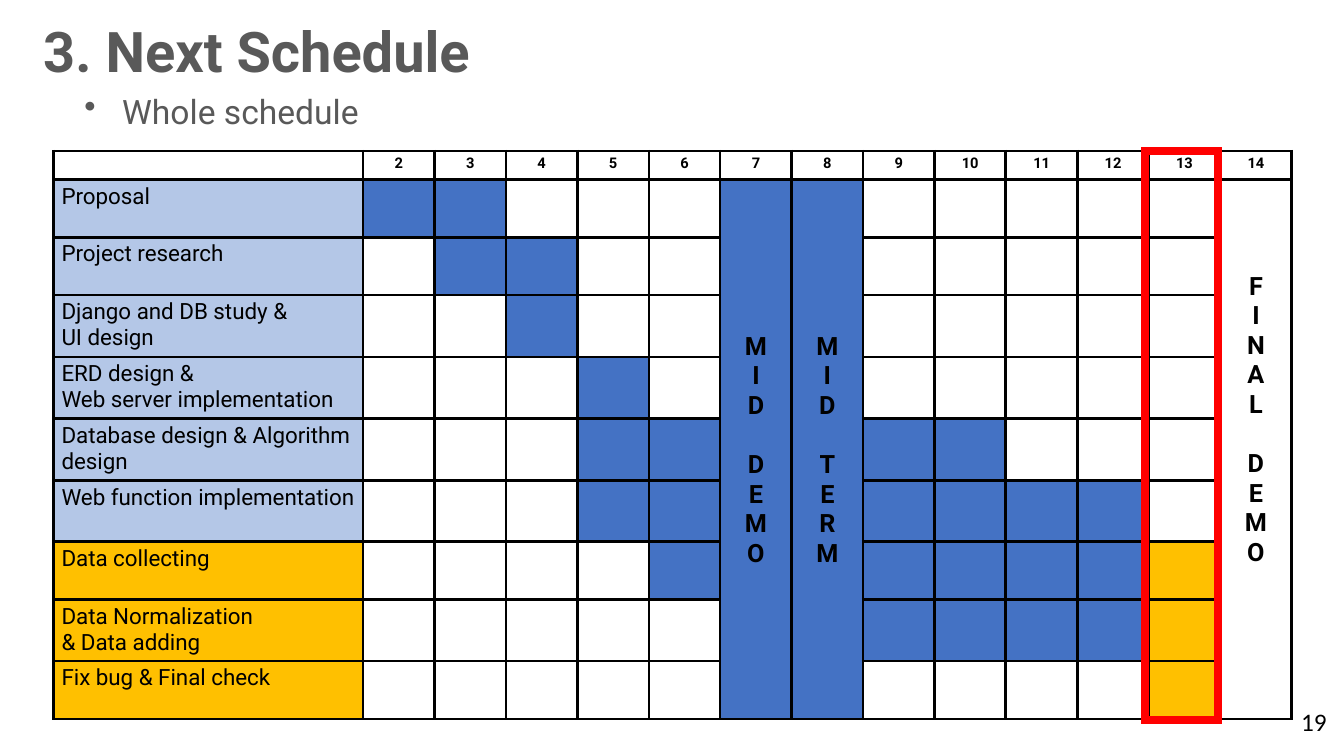
from dataclasses import dataclass

from lxml.etree import SubElement
from pptx import Presentation
from pptx.dml.color import RGBColor
from pptx.enum.shapes import MSO_SHAPE
from pptx.enum.text import MSO_ANCHOR, PP_ALIGN
from pptx.oxml.ns import qn
from pptx.slide import Slide
from pptx.table import Table, _Cell
from pptx.text.text import TextFrame, _Paragraph
from pptx.util import Cm, Pt

BLACK, WHITE, GREY, RED = "000000", "FFFFFF", "595959", "FF0000"
PALE, BLUE, GOLD = "B4C7E7", "4472C4", "FFC000"
WEEKS = range(2, 15)
HEAD, LOW, HIGH = 0.71, 1.46, 1.54
LEFT, TOP, LABEL, WEEK = 1.35, 3.81, 7.8, 1.8
THICK = (4, 10)  # weeks with a heavier line on their right


@dataclass
class Task:
    name: str
    fill: str
    high: float
    weeks: tuple[int, ...] = ()


@dataclass
class Event:
    week: int
    words: str
    fill: str
    inset: float = 0.15
    anchor: MSO_ANCHOR = MSO_ANCHOR.MIDDLE


@dataclass
class Label:
    text: str
    box: tuple[float, float, float, float]
    size: float
    color: str
    font: str = "Roboto"
    bold: bool = False
    wrap: bool = True


TASKS = [
    Task("Proposal", PALE, LOW, (2, 3)),
    Task("Project research", PALE, LOW, (3, 4)),
    Task("Django and DB study &\nUI design", PALE, HIGH, (4,)),
    Task("ERD design &\nWeb server implementation", PALE, HIGH, (5,)),
    Task("Database design & Algorithm design", PALE, HIGH, (5, 6, 9, 10)),
    Task("Web function implementation", PALE, HIGH, (5, 6, 9, 10, 11, 12)),
    Task("Data collecting", GOLD, LOW, (6, 9, 10, 11, 12, 13)),
    Task("Data Normalization\n& Data adding", GOLD, HIGH, (9, 10, 11, 12, 13)),
    Task("Fix bug & Final check", GOLD, LOW, (13,)),
]
EVENTS = [
    Event(7, "MID DEMO", BLUE),
    Event(8, "MID TERM", BLUE),
    Event(14, "FINAL DEMO", WHITE, 2.33, MSO_ANCHOR.TOP),
]
TITLE = Label("3. Next Schedule", (0.84, 0.3, 19.1, 1.96), 40, GREY, bold=True)
TOPIC = Label("Whole schedule", (1.88, 2.16, 31.9, 1.27), 24, GREY)
PAGE = Label("19", (32.54, 17.68, 1.17, 1.02), 18, BLACK, "Calibri", wrap=False)


def paint(code: str) -> RGBColor:
    return RGBColor.from_string(code)


def style(para: _Paragraph, size: float, color: str = BLACK,
          bold: bool = False, font: str = "Roboto") -> None:
    para.font.name = font
    para.font.size = Pt(size)
    para.font.bold = bold
    para.font.color.rgb = paint(color)


def write(frame: TextFrame, text: str, size: float, bold: bool = False,
          align: PP_ALIGN = PP_ALIGN.LEFT) -> None:
    frame.text = text
    for para in frame.paragraphs:
        para.alignment = align
        style(para, size, bold=bold)


def edge(cell: _Cell, week: int) -> None:
    props = cell._tc.get_or_add_tcPr()
    thick = {"L": week - 1 in THICK, "R": week in THICK}
    for spot, side in enumerate("LRTB"):
        width = Pt(2.55 if thick.get(side) else 1.98)
        line = SubElement(props, qn(f"a:ln{side}"), w=str(width))
        fill = SubElement(line, qn("a:solidFill"))
        SubElement(fill, qn("a:srgbClr"), val=BLACK)
        props.insert(spot, line)


def dress(cell: _Cell, fill: str, week: int) -> None:
    cell.margin_left = cell.margin_right = Cm(0.2)
    cell.margin_top = cell.margin_bottom = Cm(0.1)
    cell.fill.solid()
    cell.fill.fore_color.rgb = paint(fill)
    edge(cell, week)


def shade(task: Task, week: int) -> str:
    if week not in task.weeks:
        return WHITE
    return GOLD if week == 13 else BLUE


def mark(table: Table, event: Event) -> None:
    col = event.week - 1
    cell = table.cell(1, col)
    cell.merge(table.cell(len(TASKS), col))
    cell.fill.fore_color.rgb = paint(event.fill)
    cell.margin_top = Cm(event.inset)
    cell.vertical_anchor = event.anchor
    first, second = event.words.split()
    write(cell.text_frame, "\n".join(first + second), 18, True, PP_ALIGN.CENTER)
    cell.text_frame.paragraphs[len(first)].space_before = Pt(21.1)


def chart(slide: Slide) -> None:
    tall = HEAD + sum(task.high for task in TASKS)
    wide = LABEL + WEEK * len(WEEKS)
    table = slide.shapes.add_table(
        len(TASKS) + 1, len(WEEKS) + 1, Cm(LEFT), Cm(TOP), Cm(wide), Cm(tall)).table
    table.first_row = table.horz_banding = False
    for col, width in enumerate([LABEL] + [WEEK] * len(WEEKS)):
        table.columns[col].width = Cm(width)

    # Week numbers
    table.rows[0].height = Cm(HEAD)
    for col, text in enumerate(["", *map(str, WEEKS)]):
        cell = table.cell(0, col)
        dress(cell, WHITE, col + 1)
        write(cell.text_frame, text, 10.5, True, PP_ALIGN.CENTER)

    # Tasks and their weeks
    for row, task in enumerate(TASKS, 1):
        table.rows[row].height = Cm(task.high)
        cell = table.cell(row, 0)
        dress(cell, task.fill, 1)
        write(cell.text_frame, task.name, 16)
        for week in WEEKS:
            dress(table.cell(row, week - 1), shade(task, week), week)

    # Events that span all tasks
    for event in EVENTS:
        mark(table, event)


def put(slide: Slide, label: Label) -> _Paragraph:
    frame = slide.shapes.add_textbox(*map(Cm, label.box)).text_frame
    frame.word_wrap = label.wrap
    para = frame.paragraphs[0]
    para.text = label.text
    style(para, label.size, label.color, label.bold, label.font)
    return para


def bullet(para: _Paragraph) -> None:
    props = para._p.get_or_add_pPr()
    props.set("marL", str(Cm(0.95)))
    props.set("indent", str(-Cm(0.95)))
    dot = SubElement(props, qn("a:buChar"), char="•")
    props.insert(0, dot)


def frame(slide: Slide) -> None:
    box = slide.shapes.add_shape(
        MSO_SHAPE.RECTANGLE, Cm(28.85), Cm(TOP), Cm(1.85), Cm(14.33))
    box.shadow.inherit = False
    box.fill.background()
    box.line.color.rgb = paint(RED)
    box.line.width = Pt(6)
    SubElement(box.line._get_or_add_ln(), qn("a:miter"), lim="800000")


def main() -> None:
    deck = Presentation()
    deck.slide_width, deck.slide_height = Cm(33.87), Cm(19.05)
    slide = deck.slides.add_slide(deck.slide_layouts[6])
    bullet(put(slide, TOPIC))
    chart(slide)
    put(slide, TITLE)
    frame(slide)
    put(slide, PAGE)
    deck.save("out.pptx")


if __name__ == "__main__":
    main()
